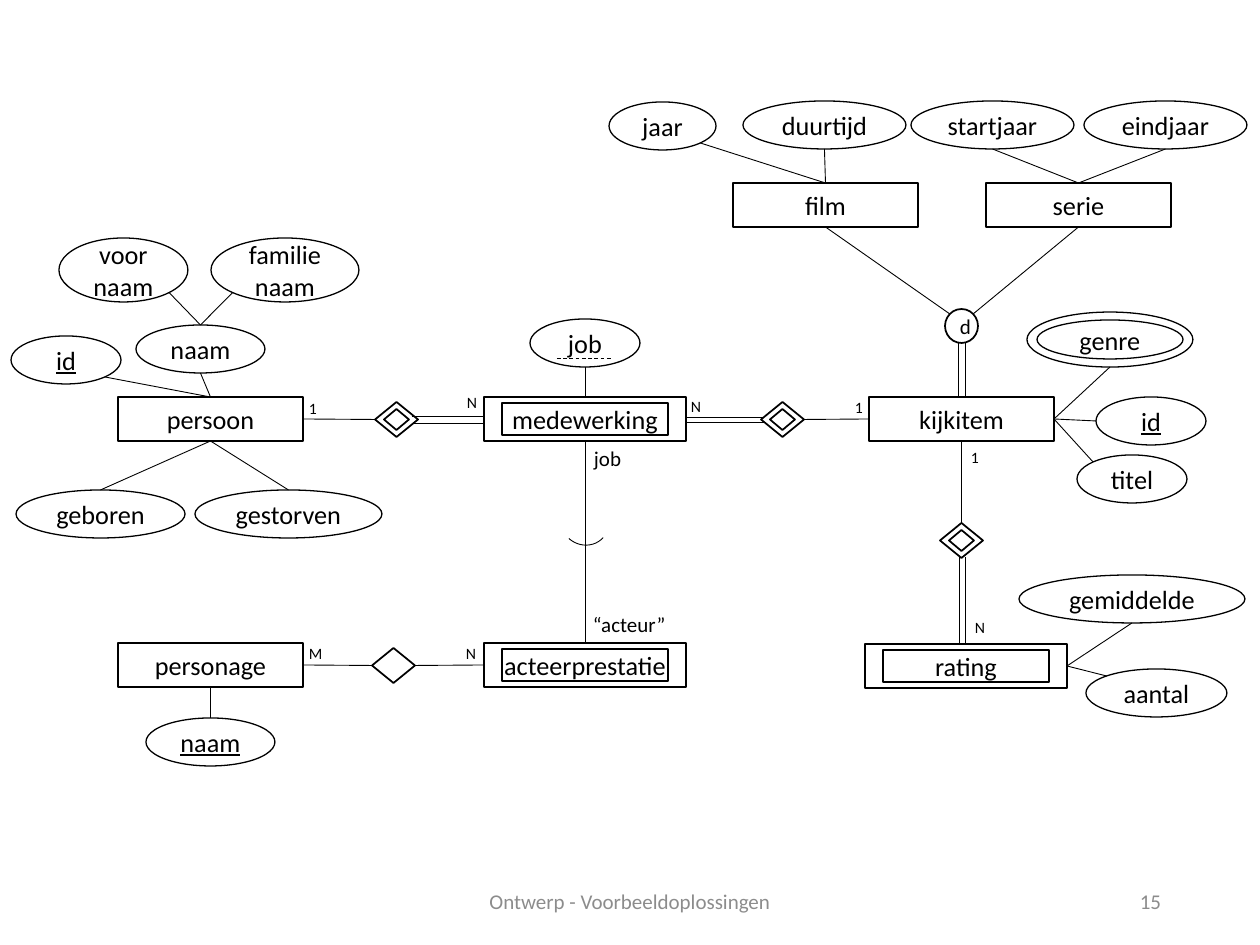
from math import sqrt

from pptx import Presentation
from pptx.dml.color import RGBColor
from pptx.enum.dml import MSO_LINE
from pptx.enum.shapes import MSO_CONNECTOR, MSO_SHAPE as Geo
from pptx.enum.text import MSO_ANCHOR as Anchor, PP_ALIGN as Align
from pptx.oxml.ns import qn
from pptx.util import Pt
from lxml.etree import SubElement

PX = 914400 / 126
BLACK = RGBColor(0x00, 0x00, 0x00)
WHITE = RGBColor(0xFF, 0xFF, 0xFF)
GREY = RGBColor(0x8C, 0x8C, 0x8C)
FONT = "Calibri"

ENTITY_H, WEAK_INSET = 44, (18, 6)
ATTRIBUTE_H = 48
DIAMOND_W, DIAMOND_H, DIAMOND_INSET = 43, 35, (9, 7)

# Entities: name -> left, top, width, weak
ENTITIES = {
    "film": (733, 183, 185, False),
    "serie": (986, 183, 185, False),
    "kijkitem": (869, 397, 185, False),
    "persoon": (118, 397, 185, False),
    "personage": (118, 643, 185, False),
    "medewerking": (484, 397, 202, True),
    "acteerprestatie": (484, 643, 202, True),
    "rating": (865, 644, 202, True),
}

# Relationships: name -> left, top, identifying
RELATIONSHIPS = {
    "persoon-medewerking": (375, 402, True),
    "medewerking-kijkitem": (761, 402, True),
    "kijkitem-rating": (940, 523, True),
    "personage-acteerprestatie": (372, 648, False),
}

# Attributes: owner, owner side, text, own side, left, top, width, key
ATTRIBUTES = [
    ("film", "N", "jaar", "SE", 609, 102, 107, False),
    ("film", "N", "duurtijd", "S", 743, 101, 163, False),
    ("serie", "N", "startjaar", "S", 911, 101, 163, False),
    ("serie", "N", "eindjaar", "S", 1084, 101, 163, False),
    ("kijkitem", "E", "genre", "S", 1027, 312, 166, False),
    ("kijkitem", "E", "id", "W", 1096, 397, 110, True),
    ("kijkitem", "E", "titel", "NW", 1077, 455, 110, False),
    ("rating", "E", "gemiddelde", "S", 1019, 575, 226, False),
    ("rating", "E", "aantal", "NW", 1086, 669, 141, False),
    ("persoon", "N", "id", "SE", 11, 336, 110, True),
    ("persoon", "N", "naam", "S", 136, 325, 129, False),
    ("naam", "N", "voor\nnaam", "SE", 59, 238, 129, False),
    ("naam", "N", "familie\nnaam", "SW", 211, 238, 148, False),
    ("persoon", "S", "geboren", "N", 16, 490, 169, False),
    ("persoon", "S", "gestorven", "N", 195, 490, 187, False),
    ("personage", "S", "naam", "N", 146, 718, 129, True),
    ("medewerking", "N", "job", "S", 530, 319, 110, False),
]
SPECIAL_HEIGHTS = {"genre": 55, "voor\nnaam": 64, "familie\nnaam": 64}

# Single lines between the other parts
LINKS = [
    ("persoon", "E", "persoon-medewerking", "W"),
    ("medewerking-kijkitem", "E", "kijkitem", "W"),
    ("kijkitem-rating", "N", "kijkitem", "S"),
    ("personage-acteerprestatie", "W", "personage", "E"),
    ("personage-acteerprestatie", "E", "acteerprestatie", "W"),
    ("acteerprestatie", "N", "medewerking", "S"),
    ("film", "S", "d", "NW"),
    ("serie", "S", "d", "NE"),
]

# Total participation: first line, then the shift to the second
DOUBLE_LINES = [
    ((412, 416, 484, 416), (0, 7)),
    ((686, 417, 764, 417), (0, 5)),
    ((958, 398, 958, 343), (7, 0)),
    ((959, 644, 959, 557), (6, 0)),
]

CARDINALITIES = [
    ("1", 297, 393), ("N", 455, 387), ("N", 679, 391), ("1", 843, 392),
    ("1", 959, 442), ("N", 963, 612), ("M", 297, 638), ("N", 454, 638),
]
CONDITIONS = [("job", 582, 440, 60), ("“acteur”", 581, 606, 105)]
FOOTERS = [
    ("Ontwerp - Voorbeeldoplossingen", 417, 426, Align.CENTER),
    ("15", 889, 284, Align.RIGHT),
]

SIDES = {"N": (0, -1), "S": (0, 1), "W": (-1, 0), "E": (1, 0),
         "NW": (-1, -1), "NE": (1, -1), "SW": (-1, 1), "SE": (1, 1)}
SITES = {"N": 0, "W": 1, "S": 2, "E": 3}

prs = Presentation()
prs.slide_width, prs.slide_height = round(1260 * PX), round(945 * PX)
slide = prs.slides.add_slide(prs.slide_layouts[6])
shapes = slide.shapes
nodes = {}


def emu(*lengths):
    return [round(length * PX) for length in lengths]


def write(holder, text, size=15, color=BLACK, align=Align.CENTER,
          anchor=Anchor.MIDDLE, underline=None, wrap=False, insets=(0, 0, 0, 0)):
    frame = holder.text_frame
    frame.word_wrap, frame.vertical_anchor = wrap, anchor
    (frame.margin_left, frame.margin_top,
     frame.margin_right, frame.margin_bottom) = emu(*insets)
    for number, line in enumerate(text.split("\n")):
        paragraph = frame.add_paragraph() if number else frame.paragraphs[0]
        paragraph.alignment = align
        run = paragraph.add_run()
        run.text = line
        run.font.name, run.font.size = FONT, Pt(size)
        run.font.color.rgb, run.font.underline = color, underline


def outline(geometry, box, weight=0.75, fill=None):
    shape = shapes.add_shape(geometry, *emu(*box))
    shape.shadow.inherit = False
    if fill is None:
        shape.fill.background()
    else:
        shape.fill.solid()
        shape.fill.fore_color.rgb = fill
    shape.line.color.rgb, shape.line.width = BLACK, Pt(weight)
    return shape


def inner(geometry, box, inset, weight=1):
    x, y, w, h = box
    dx, dy = inset
    return outline(geometry, (x + dx, y + dy, w - 2 * dx, h - 2 * dy), weight)


def line(x1, y1, x2, y2):
    connector = shapes.add_connector(MSO_CONNECTOR.STRAIGHT, *emu(x1, y1, x2, y2))
    connector.line.color.rgb, connector.line.width = BLACK, Pt(0.5)
    SubElement(connector._element.spPr, qn("a:effectLst"))
    return connector


def point(node, side):
    _, (x, y, w, h) = nodes[node]
    dx, dy = SIDES[side]
    reach = 1 / sqrt(2) if dx and dy else 1
    return x + w / 2 * (1 + dx * reach), y + h / 2 * (1 + dy * reach)


def link(start, start_side, end, end_side):
    connector = line(*point(start, start_side), *point(end, end_side))
    for node, side, join in ((start, start_side, connector.begin_connect),
                             (end, end_side, connector.end_connect)):
        shape = nodes[node][0]
        if shape.auto_shape_type != Geo.OVAL:
            join(shape, SITES[side])


# Entities, with a second frame when weak
for name, (x, y, width, weak) in ENTITIES.items():
    box = (x, y, width, ENTITY_H)
    entity = outline(Geo.RECTANGLE, box)
    write(entity, name)
    nodes[name] = entity, box
    if weak:
        inner(Geo.RECTANGLE, box, WEAK_INSET)

# Relationships, with a second diamond when identifying
for name, (x, y, identifying) in RELATIONSHIPS.items():
    box = (x, y, DIAMOND_W, DIAMOND_H)
    nodes[name] = outline(Geo.DIAMOND, box, 1), box
    if identifying:
        inner(Geo.DIAMOND, box, DIAMOND_INSET)

# Disjoint specialisation
box = (945, 309, 33, 34)
disjoint = outline(Geo.OVAL, box, 1)
write(disjoint, "d", size=12, insets=(8, 0, 0, 0))
nodes["d"] = disjoint, box

# Attributes and the lines to their owners
for owner, owner_side, text, side, x, y, width, key in ATTRIBUTES:
    box = (x, y, width, SPECIAL_HEIGHTS.get(text, ATTRIBUTE_H))
    attribute = outline(Geo.OVAL, box, fill=WHITE)
    write(attribute, text, underline=key or None)
    node = text + " key" if key else text
    nodes[node] = attribute, box
    link(owner, owner_side, node, side)
    if text == "genre":
        inner(Geo.OVAL, box, (10, 8), 0.75)

# Other lines
for ends in LINKS:
    link(*ends)
for (x1, y1, x2, y2), (dx, dy) in DOUBLE_LINES:
    line(x1, y1, x2, y2)
    line(x1 + dx, y1 + dy, x2 + dx, y2 + dy)

# Partial key of job and subset arc
line(557, 358, 612, 358).line.dash_style = MSO_LINE.DASH
subset = outline(Geo.ARC, (561, 496, 47, 50), 0.5)
subset.rotation = 131.7

# Cardinalities, conditions and footers
labels = [(text, (x, y, 24, 32), 9) for text, x, y in CARDINALITIES]
labels += [(text, (x, y, width, 38), 12) for text, x, y, width in CONDITIONS]
for text, box, size in labels:
    write(shapes.add_textbox(*emu(*box)), text, size=size, align=Align.LEFT,
          anchor=Anchor.TOP, wrap=True, insets=(12, 6, 0, 6))
for text, x, width, align in FOOTERS:
    write(shapes.add_textbox(*emu(x, 876, width, 50)), text, size=12,
          color=GREY, align=align, wrap=True, insets=(12, 6, 12, 6))

prs.save("out.pptx")
